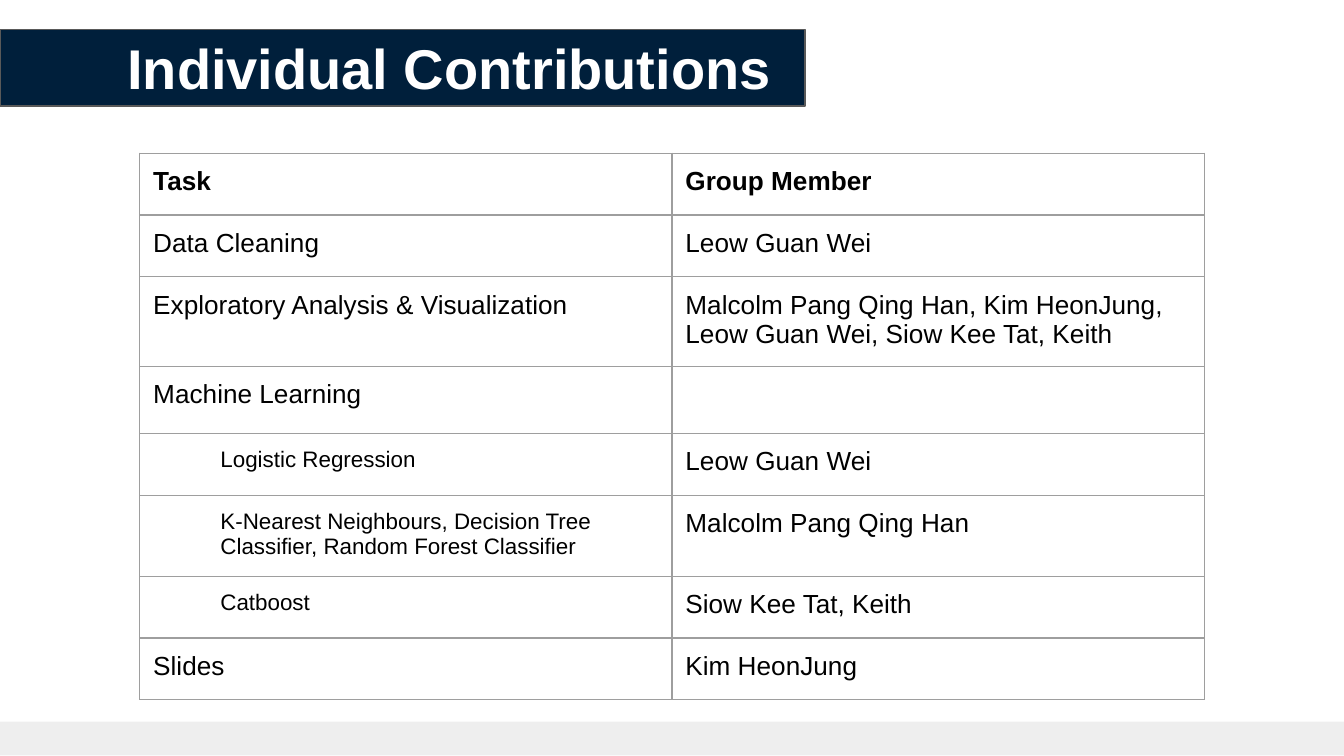
from dataclasses import dataclass

from lxml.etree import SubElement
from pptx import Presentation
from pptx.dml.color import RGBColor
from pptx.enum.shapes import MSO_SHAPE
from pptx.oxml.ns import qn
from pptx.util import Inches, Pt

FONT = "Arial"
NAVY = "001F3B"
WHITE = "FFFFFF"
BLACK = "000000"
BAR_EDGE = "595959"
GRID = "9E9E9E"
FOOTER = "EEEEEE"


@dataclass
class Contribution:
    task: str
    member: str = ""
    bold: bool = False
    subtask: bool = False


CONTRIBUTIONS = [
    Contribution("Task", "Group Member", bold=True),
    Contribution("Data Cleaning", "Leow Guan Wei"),
    Contribution(
        "Exploratory Analysis & Visualization",
        "Malcolm Pang Qing Han, Kim HeonJung, Leow Guan Wei, Siow Kee Tat, Keith",
    ),
    Contribution("Machine Learning"),
    Contribution("Logistic Regression", "Leow Guan Wei", subtask=True),
    Contribution(
        "K-Nearest Neighbours, Decision Tree Classifier, Random Forest Classifier",
        "Malcolm Pang Qing Han",
        subtask=True,
    ),
    Contribution("Catboost", "Siow Kee Tat, Keith", subtask=True),
    Contribution("Slides", "Kim HeonJung"),
]


def colour(value: str) -> RGBColor:
    return RGBColor.from_string(value)


def style_paragraph(para, size: float, value: str, bold: bool) -> None:
    para.font.name = FONT
    para.font.size = Pt(size)
    para.font.bold = bold
    para.font.color.rgb = colour(value)


def add_bar(page, left: float, top: float, width: float, height: float,
            fill: str, edge: str = "") -> None:
    bar = page.shapes.add_shape(
        MSO_SHAPE.RECTANGLE, Inches(left), Inches(top), Inches(width), Inches(height)
    )
    bar.shadow.inherit = False
    bar.fill.solid()
    bar.fill.fore_color.rgb = colour(fill)
    if edge:
        bar.line.color.rgb = colour(edge)
        bar.line.width = Pt(0.75)
    else:
        bar.line.fill.background()


def add_title(page, text: str) -> None:
    box = page.shapes.add_textbox(Inches(0.85), Inches(0.15), Inches(5.18), Inches(0.57))
    frame = box.text_frame
    frame.word_wrap = True
    frame.margin_left = frame.margin_right = Inches(0.1)
    frame.margin_top = frame.margin_bottom = Inches(0.1)
    para = frame.paragraphs[0]
    para.text = text
    style_paragraph(para, 30, WHITE, True)


def add_borders(cell) -> None:
    properties = cell._tc.get_or_add_tcPr()
    for side in ("lnL", "lnR", "lnT", "lnB"):
        line = SubElement(properties, qn(f"a:{side}"), w=str(Pt(0.75)))
        fill = SubElement(line, qn("a:solidFill"))
        SubElement(fill, qn("a:srgbClr"), val=GRID)


def fill_cell(cell, text: str, bold: bool, indented: bool) -> None:
    add_borders(cell)
    cell.fill.background()
    cell.margin_left = cell.margin_right = Inches(0.1)
    cell.margin_top = cell.margin_bottom = Inches(0.1)
    if not text:
        return
    para = cell.text_frame.paragraphs[0]
    para.text = text
    if indented:
        properties = para._p.get_or_add_pPr()
        properties.set("marL", str(Inches(0.5)))
        properties.set("indent", "0")
    style_paragraph(para, 12 if indented else 14, BLACK, bold)


def add_contribution_table(page, rows: list[Contribution]) -> None:
    side = Inches(3.28)
    holder = page.shapes.add_table(len(rows), 2, Inches(1.04), Inches(1.14), side, side)
    table = holder.table
    table.first_row = False
    table.horz_banding = False
    for column in table.columns:
        column.width = Inches(3.96)
    for index, row in enumerate(rows):
        table.rows[index].height = Inches(0.46)
        fill_cell(table.cell(index, 0), row.task, row.bold, row.subtask)
        fill_cell(table.cell(index, 1), row.member, row.bold, False)
    holder.width = holder.height = side


def main() -> None:
    deck = Presentation()
    deck.slide_width = Inches(10)
    deck.slide_height = deck.slide_width * 9 // 16
    page = deck.slides.add_slide(deck.slide_layouts[6])
    add_bar(page, 0, 0.22, 5.99, 0.57, NAVY, BAR_EDGE)
    add_title(page, "Individual Contributions")
    add_contribution_table(page, CONTRIBUTIONS)
    add_bar(page, -0.02, 5.37, 10.05, 0.25, FOOTER)
    deck.save("out.pptx")


if __name__ == "__main__":
    main()
